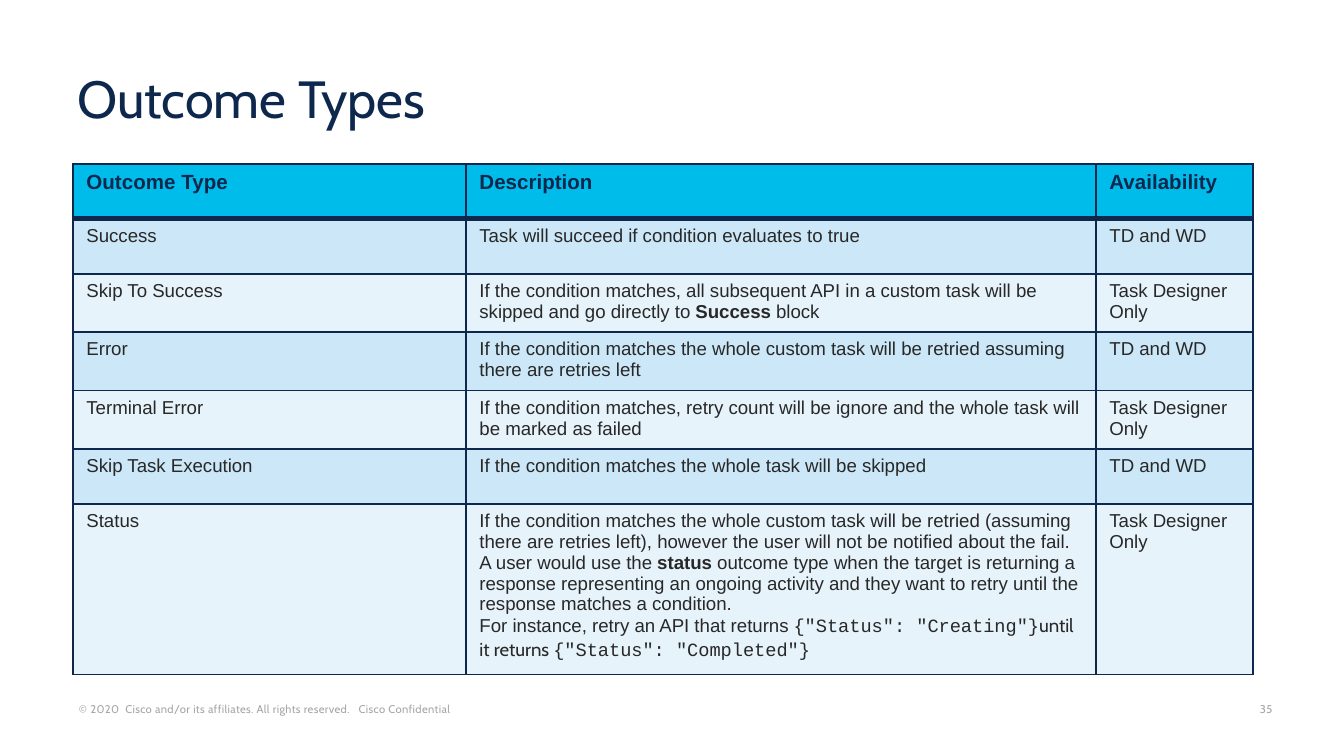
import pptx
import pptx.dml.color
import pptx.enum.text
import pptx.oxml
import pptx.oxml.ns
import pptx.util

PX = 914400 / 134.4
NAVY = pptx.dml.color.RGBColor(0x0D, 0x27, 0x4D)
CYAN = pptx.dml.color.RGBColor(0x00, 0xBC, 0xEB)
BLUE = pptx.dml.color.RGBColor(0xCC, 0xE7, 0xF7)
PALE = pptx.dml.color.RGBColor(0xE7, 0xF3, 0xFB)
INK = pptx.dml.color.RGBColor(0x28, 0x28, 0x28)
GREY = pptx.dml.color.RGBColor(0xA6, 0xA6, 0xA6)
ANCHOR = pptx.enum.text.MSO_ANCHOR

TITLE = {"name": "Cabin", "size": pptx.util.Pt(28)}
FOOTER = {"name": "Cabin", "size": pptx.util.Pt(6)}
HEADER = {"name": "Arial", "size": pptx.util.Pt(11), "bold": True}
BODY = {"name": "Arial", "size": pptx.util.Pt(10), "bold": False}
BOLD = {"bold": True}
CODE = {"name": "Courier New"}
CABIN = {"name": "Cabin"}


def emu(pixels):
    return pptx.util.Emu(round(pixels * PX))


def add_run(paragraph, text, formats, color):
    run = paragraph.add_run()
    run.text = text
    for attribute, value in formats.items():
        setattr(run.font, attribute, value)
    run.font.color.rgb = color
    return run


presentation = pptx.Presentation()
presentation.slide_width, presentation.slide_height = emu(1344), emu(756)
slide = presentation.slides.add_slide(presentation.slide_layouts[6])

# Title, copyright line and page number
text_boxes = [
    ("Outcome Types", (64, 50, 1227, 107), TITLE, NAVY,
     {"word_wrap": True, "vertical_anchor": ANCHOR.MIDDLE}),
    ("© 2020  Cisco and/or its affiliates. All rights reserved.   Cisco Confidential",
     (70, 697, 500, 23), FOOTER, GREY,
     {"word_wrap": True, "vertical_anchor": ANCHOR.BOTTOM}),
    ("35", (1251, 697, 32, 23), FOOTER, GREY,
     {"word_wrap": False, "vertical_anchor": ANCHOR.BOTTOM}),
]
for text, box, formats, color, frame_formats in text_boxes:
    frame = slide.shapes.add_textbox(*map(emu, box)).text_frame
    for attribute, value in frame_formats.items():
        setattr(frame, attribute, value)
    run = add_run(frame.paragraphs[0], text, formats, color)
    if formats is TITLE:
        frame.paragraphs[0].line_spacing = 0.8
    else:
        frame.margin_left = frame.margin_right = emu(9)
        frame.margin_top = frame.margin_bottom = emu(4)
        run.font._element.set("spc", "20")

# Each cell is a list of paragraphs, each paragraph a list of (text, formats)
descriptions = [
    [[("Description", {})]],
    [[("Task will succeed if condition evaluates to true", {})]],
    [[("If the condition matches, all subsequent API in a custom task will be "
       "skipped and go directly to ", {}), ("Success", BOLD), (" block", {})]],
    [[("If the condition matches the whole custom task will be retried "
       "assuming there are retries left", {})]],
    [[("If the condition matches, retry count will be ignore and the whole "
       "task will be marked as failed", {})]],
    [[("If the condition matches the whole task will be skipped", {})]],
    [[("If the condition matches the whole custom task will be retried "
       "(assuming there are retries left), however the user will not be "
       "notified about the fail. A user would use the ", {}),
      ("status ", BOLD),
      ("outcome type when the target is returning a response representing an "
       "ongoing activity and they want to retry until the response matches a "
       "condition.", {})],
     [("For instance, retry an API that returns ", {}),
      ('{"Status": "Creating"}', CODE), ("until it returns ", CABIN),
      ('{"Status": "Completed"}', CODE)]],
]
outcome_types = ["Outcome Type", "Success", "Skip To Success", "Error",
                 "Terminal Error", "Skip Task Execution", "Status"]
availability = ["Availability"] + ["TD and WD", "Task Designer Only"] * 3

column_widths = [393, 630, 157]
row_heights = [55] * 6 + [165]
table = slide.shapes.add_table(
    len(row_heights), len(column_widths), emu(73), emu(164),
    emu(sum(column_widths)), emu(sum(row_heights))).table
table.first_row = table.horz_banding = False
for column, width in zip(table.columns, column_widths):
    column.width = emu(width)
for row, height in zip(table.rows, row_heights):
    row.height = emu(height)

rows = zip(outcome_types, descriptions, availability)
for row_index, (outcome, description, available) in enumerate(rows):
    is_header = row_index == 0
    base, color = (HEADER, NAVY) if is_header else (BODY, INK)
    fill_color = CYAN if is_header else (PALE, BLUE)[row_index % 2]
    contents = [[[(outcome, {})]], description, [[(available, {})]]]
    for column_index, paragraphs in enumerate(contents):
        cell = table.cell(row_index, column_index)
        properties = cell._tc.get_or_add_tcPr()
        for side in "LRTB":
            is_thick = (row_index, side) in [(0, "B"), (1, "T")]
            properties.append(pptx.oxml.parse_xml(
                f'<a:ln{side} {pptx.oxml.ns.nsdecls("a")} '
                f'w="{pptx.util.Pt(3 if is_thick else 1)}"><a:solidFill>'
                f'<a:srgbClr val="{NAVY}"/></a:solidFill></a:ln{side}>'))
        cell.fill.solid()
        cell.fill.fore_color.rgb = fill_color
        for index, runs in enumerate(paragraphs):
            frame = cell.text_frame
            paragraph = frame.add_paragraph() if index else frame.paragraphs[0]
            for text, changes in runs:
                add_run(paragraph, text, base | changes, color)

presentation.save("out.pptx")
